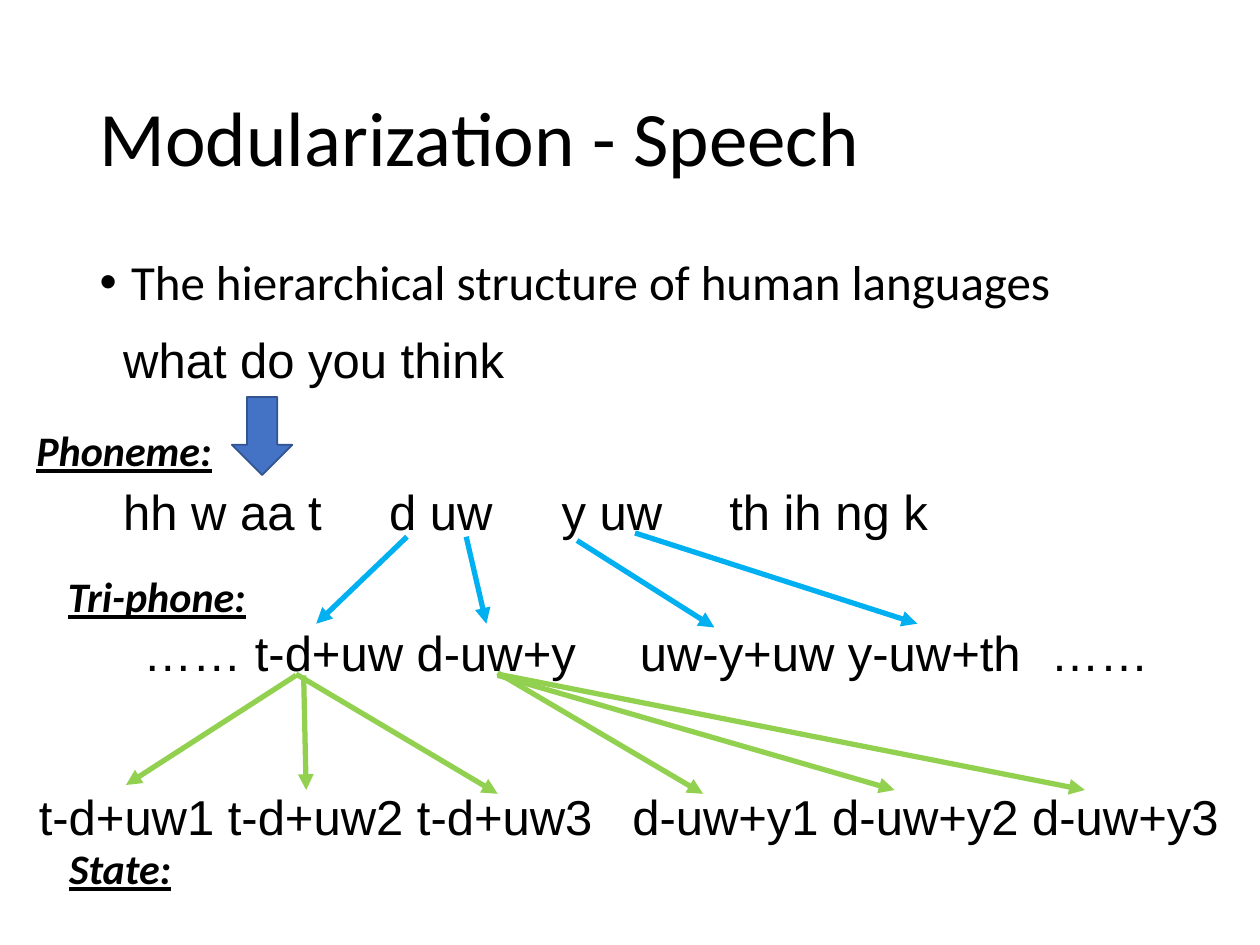
from dataclasses import dataclass

import pptx
import pptx.dml.color
import pptx.enum.shapes
import pptx.enum.text
import pptx.oxml
import pptx.oxml.ns
import pptx.util
from pptx.util import Inches

COLORS = {"text": "000000", "block": "4472C4", "block_edge": "325491",
          "triphone": "00B0F0", "state": "92D050"}
UNIT_FONT = {"name": "Arial", "size": pptx.util.Pt(28)}
LEVEL_FONT = {"name": "Calibri", "size": pptx.util.Pt(24),
              "bold": True, "italic": True, "underline": True}
ANCHOR = pptx.enum.text.MSO_ANCHOR


@dataclass
class Label:
    text: str
    left: float
    top: float
    width: float
    tabs: tuple[float, ...] = ()


@dataclass
class Fan:
    """Arrows given as (start x, start y, end x, end y)."""
    color: str
    arrows: list[tuple[float, float, float, float]]


UNITS = [
    Label("what do you think", 0.88, 2.57, 3.26),
    Label("hh w aa t\td uw\ty uw\tth ih ng k", 0.88, 3.77, 6.77, (2.11, 3.48, 4.81)),
    Label("…… t-d+uw d-uw+y\tuw-y+uw y-uw+th\t……", 1.04, 4.89, 8.39, (3.94, 7.2)),
    Label("t-d+uw1 t-d+uw2 t-d+uw3", 0.21, 6.19, 4.65),
    Label("d-uw+y1 d-uw+y2 d-uw+y3", 4.92, 6.19, 4.92),
]
LEVELS = [
    Label("Phoneme:", 0.19, 3.32, 1.63),
    Label("Tri-phone:", 0.44, 4.48, 1.69),
    Label("State:", 0.45, 6.64, 1.69),
]
FANS = [
    Fan("triphone", [(3.23, 4.26, 2.51, 4.95), (3.7, 4.26, 3.86, 4.95),
                     (4.58, 4.29, 5.67, 4.98), (5.04, 4.23, 7.28, 4.95)]),
    Fan("state", [(2.35, 5.36, 1, 6.23), (2.41, 5.36, 2.43, 6.27),
                  (2.35, 5.35, 3.95, 6.3), (3.95, 5.34, 5.58, 6.3),
                  (3.95, 5.36, 7.1, 6.27), (3.95, 5.35, 8.61, 6.27)]),
]


def rgb(name: str) -> pptx.dml.color.RGBColor:
    return pptx.dml.color.RGBColor.from_string(COLORS[name])


def apply_font(font, values: dict) -> None:
    for attribute, value in values.items():
        setattr(font, attribute, value)
    font.color.rgb = rgb("text")


def add_child(parent, tag: str, **attributes: str):
    child = pptx.oxml.parse_xml(f"<{tag} {pptx.oxml.ns.nsdecls('a')}/>")
    for key, value in attributes.items():
        child.set(key, value)
    parent.append(child)
    return child


def fill_placeholder(holder, text: str, box: tuple, size: int, anchor):
    holder.left, holder.top, holder.width, holder.height = map(Inches, box)
    frame = holder.text_frame
    frame.text = text
    frame.auto_size = pptx.enum.text.MSO_AUTO_SIZE.NONE
    frame.vertical_anchor = anchor
    paragraph = frame.paragraphs[0]
    paragraph.alignment = pptx.enum.text.PP_ALIGN.LEFT
    paragraph.line_spacing = 0.9
    apply_font(paragraph.runs[0].font, {"name": "Calibri", "size": pptx.util.Pt(size)})
    return paragraph


def add_label(slide, label: Label, height: float, font: dict) -> None:
    box = slide.shapes.add_textbox(*map(Inches, (label.left, label.top, label.width, height)))
    frame = box.text_frame
    frame.word_wrap = True
    paragraph = frame.paragraphs[0]
    run = paragraph.add_run()
    run.text = label.text
    apply_font(run.font, font)
    if label.tabs:
        stops = add_child(paragraph._p.get_or_add_pPr(), "a:tabLst")
        for stop in label.tabs:
            add_child(stops, "a:tab", pos=str(Inches(stop)), algn="l")


def add_arrow(slide, ends: tuple, color: str) -> None:
    arrow = slide.shapes.add_connector(
        pptx.enum.shapes.MSO_CONNECTOR.STRAIGHT, *map(Inches, ends))
    arrow.line.color.rgb = rgb(color)
    arrow.line.width = pptx.util.Pt(3)
    add_child(arrow.line._get_or_add_ln(), "a:tailEnd", type="triangle")
    add_child(arrow._element.spPr, "a:effectLst")


def add_down_arrow(slide) -> None:
    block = slide.shapes.add_shape(pptx.enum.shapes.MSO_SHAPE.DOWN_ARROW,
                                   *map(Inches, (1.84, 3.15, 0.48, 0.62)))
    block.shadow.inherit = False
    block.fill.solid()
    block.fill.fore_color.rgb = rgb("block")
    block.line.color.rgb = rgb("block_edge")
    block.line.width = pptx.util.Pt(1)


def main() -> None:
    deck = pptx.Presentation()
    deck.slide_width, deck.slide_height = Inches(10), Inches(7.5)
    slide = deck.slides.add_slide(deck.slide_layouts[1])
    title, body = slide.placeholders

    fill_placeholder(title, "Modularization - Speech", (0.69, 0.4, 8.62, 1.45),
                     44, ANCHOR.MIDDLE)
    bullet = fill_placeholder(body, "The hierarchical structure of human languages",
                              (0.69, 2, 8.62, 4.76), 28, ANCHOR.TOP)
    bullet.space_before = pptx.util.Pt(10)
    indents = bullet._p.get_or_add_pPr()
    indents.set("marL", str(Inches(0.25)))
    indents.set("indent", str(Inches(-0.25)))
    add_child(indents, "a:buFont", typeface="Arial")
    add_child(indents, "a:buChar", char="•")

    for unit in UNITS:
        add_label(slide, unit, 0.57, UNIT_FONT)
    add_down_arrow(slide)
    for level in LEVELS:
        add_label(slide, level, 0.5, LEVEL_FONT)
    for fan in FANS:
        for ends in fan.arrows:
            add_arrow(slide, ends, fan.color)

    deck.save("out.pptx")


if __name__ == "__main__":
    main()
